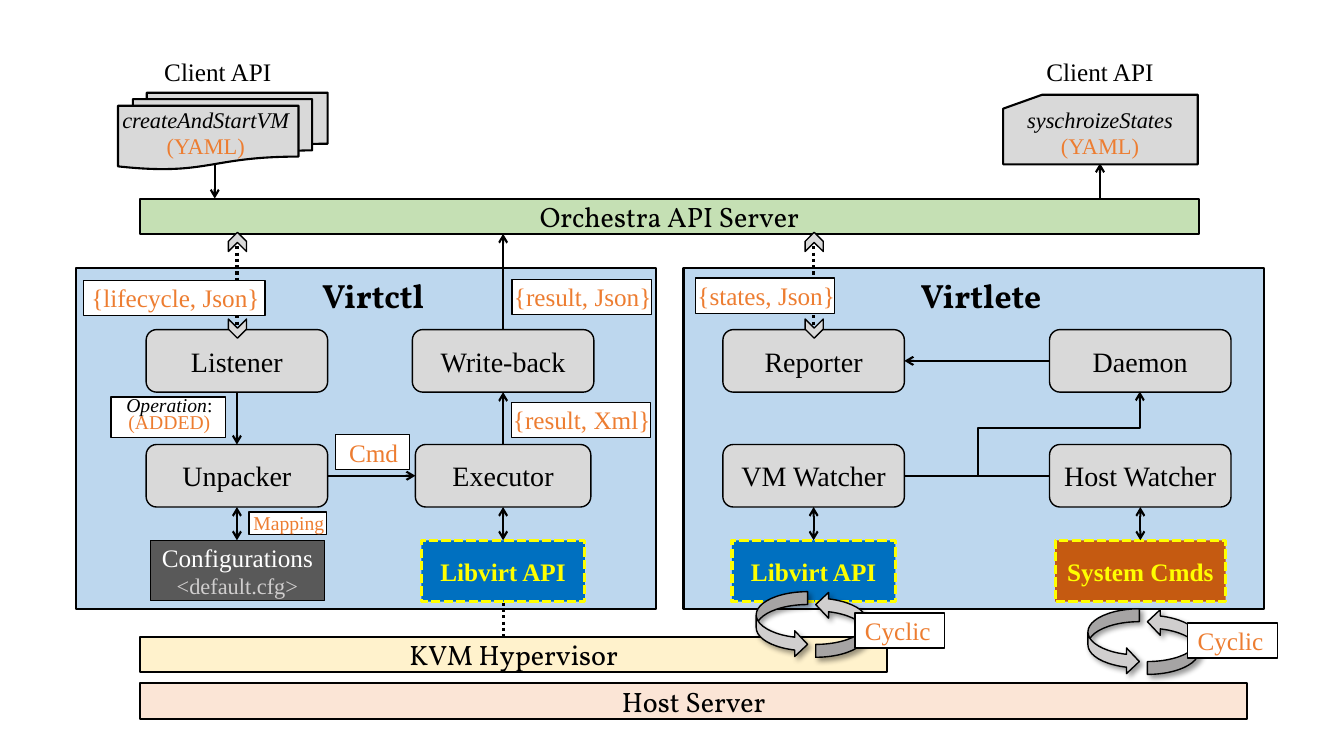
from lxml.etree import SubElement
from pptx import Presentation
from pptx.dml.color import RGBColor
from pptx.enum.dml import MSO_LINE
from pptx.enum.shapes import MSO_CONNECTOR, MSO_SHAPE
from pptx.enum.text import MSO_ANCHOR, MSO_AUTO_SIZE, PP_ALIGN
from pptx.oxml import parse_xml
from pptx.oxml.ns import nsdecls, qn
from pptx.util import Inches, Pt

BLACK, WHITE = RGBColor(0, 0, 0), RGBColor(255, 255, 255)
GREY, SILVER = RGBColor(0xD9, 0xD9, 0xD9), RGBColor(0xD0, 0xCE, 0xCE)
CHARCOAL = RGBColor(0x59, 0x59, 0x59)
PANEL_BLUE, API_BLUE = RGBColor(0xBD, 0xD7, 0xEE), RGBColor(0, 0x70, 0xC0)
GREEN, CREAM = RGBColor(0xC5, 0xE0, 0xB4), RGBColor(0xFF, 0xF2, 0xCC)
PEACH, RUST = RGBColor(0xFB, 0xE5, 0xD6), RGBColor(0xC5, 0x5A, 0x11)
ORANGE, YELLOW = RGBColor(0xED, 0x7D, 0x31), RGBColor(0xFF, 0xFF, 0)
SERIF, DISPLAY = "Times New Roman", "Vollkorn"

# Grid: centres of the four columns and three rows of components
COLUMNS = (2.35, 4.99, 8.07, 11.31)
ROWS = (3.58, 4.72, 5.67)
NODE_WIDTH, NODE_HEIGHT = 1.8, 0.62
SERVER_TOP, BAR_HEIGHT, BAR_LEFT = 1.97, 0.35, 1.39
SERVER_BOTTOM = SERVER_TOP + BAR_HEIGHT
HYPERVISOR_TOP, HOST_TOP = 6.32, 6.78
PANEL_TOP, PANEL_WIDTH, PANEL_HEIGHT = 2.66, 5.76, 3.38

PANELS = [("Virtctl", 0.75, 3.7), ("Virtlete", 6.78, 9.73)]  # title, left, title centre
BARS = [  # text, top, width, fill
    ("Orchestra API Server", SERVER_TOP, 10.5, GREEN),
    ("KVM Hypervisor", HYPERVISOR_TOP, 7.41, CREAM),
    ("Host Server", HOST_TOP, 10.98, PEACH),
]
NODES = [  # text, column, row
    ("Listener", 0, 0), ("Write-back", 1, 0), ("Reporter", 2, 0), ("Daemon", 3, 0),
    ("Unpacker", 0, 1), ("Executor", 1, 1), ("VM Watcher", 2, 1), ("Host Watcher", 3, 1),
]
BACKENDS = [  # text, column, width, fill
    ("Libvirt API", 1, 1.62, API_BLUE),
    ("Libvirt API", 2, 1.62, API_BLUE),
    ("System Cmds", 3, 1.69, RUST),
]
TAGS = [  # text, left, top, width, height, size
    ("{lifecycle, Json}", 0.83, 2.78, 1.8, 0.35, 18),
    ("{result, Json}", 5.08, 2.77, 1.38, 0.35, 18),
    ("{result, Xml}", 5.07, 3.99, 1.38, 0.35, 18),
    ("{states, Json}", 6.9, 2.76, 1.38, 0.35, 18),
    ("Cmd", 3.33, 4.31, 0.73, 0.35, 18),
    ("Mapping", 2.47, 5.08, 0.77, 0.22, 14),
    ("Cyclic ", 8.48, 6.08, 0.89, 0.35, 18),
    ("Cyclic ", 11.78, 6.18, 0.89, 0.35, 18),
]
CLIENTS = [  # function, shape, left, top, width, height, caption centre, text centre
    ("createAndStartVM", MSO_SHAPE.FLOWCHART_MULTIDOCUMENT, 1.17, 0.92, 2.08, 0.76, 2.16, 2.04),
    ("syschroizeStates", MSO_SHAPE.FLOWCHART_CARD, 9.95, 0.94, 1.93, 0.69, 10.91, 10.91),
]
CYCLES = [(7.5, 5.87), (10.79, 6.04)]  # left, top of each pair of curved arrows

presentation = Presentation()
presentation.slide_width, presentation.slide_height = Inches(13.33), Inches(7.5)
slide = presentation.slides.add_slide(presentation.slide_layouts[6])


def run(text, color=BLACK, size=18, outlined=False, **formats):
    """Describe one run of text."""
    return text, color, outlined, {"name": SERIF, "size": Pt(size), **formats}


def write(shape, paragraphs, spacing=None):
    """Write centred paragraphs, each a list of runs, into a shape."""
    frame = shape.text_frame
    frame.word_wrap = True
    for index, runs in enumerate(paragraphs):
        paragraph = frame.paragraphs[0] if index == 0 else frame.add_paragraph()
        paragraph.alignment, paragraph.line_spacing = PP_ALIGN.CENTER, spacing
        for text, color, outlined, formats in runs:
            piece = paragraph.add_run()
            piece.text = text
            for name, value in formats.items():
                setattr(piece.font, name, value)
            piece.font.color.rgb = color
            if outlined:
                piece.font._element.insert(0, parse_xml(
                    f'<a:ln {nsdecls("a")} w="9525"><a:solidFill>'
                    '<a:srgbClr val="000000"/></a:solidFill></a:ln>'))


def add_box(kind, left, top, width, height, fill, weight=1.0, paragraphs=(), edge=BLACK, dash=None):
    """Add a filled, outlined shape with optional centred text."""
    shape = slide.shapes.add_shape(kind, *map(Inches, (left, top, width, height)))
    shape.shadow.inherit = False
    shape.fill.solid()
    shape.fill.fore_color.rgb = fill
    shape.line.color.rgb, shape.line.width = edge, Pt(weight)
    if dash:
        shape.line.dash_style = dash
    shape.text_frame.vertical_anchor = MSO_ANCHOR.MIDDLE
    write(shape, paragraphs)
    return shape


def add_label(center_x, center_y, width, height, paragraphs, spacing=None):
    """Add a text box centred on a point."""
    label = slide.shapes.add_textbox(Inches(center_x - width / 2), Inches(center_y - height / 2),
                                     Inches(width), Inches(height))
    write(label, paragraphs, spacing)
    label.text_frame.auto_size = MSO_AUTO_SIZE.SHAPE_TO_FIT_TEXT


def add_line(start, end, heads=(), dotted=False, kind=MSO_CONNECTOR.STRAIGHT):
    """Add a connector; heads lists the ends that carry an arrow."""
    line = slide.shapes.add_connector(kind, *map(Inches, (*start, *end)))
    line.line.color.rgb, line.line.width = BLACK, Pt(2.25 if dotted else 1.5)
    if dotted:
        line.line.dash_style = MSO_LINE.ROUND_DOT
    outline = line.line._get_or_add_ln()
    for head in heads:
        SubElement(outline, qn(f"a:{head}")).set("type", "arrow")
    SubElement(line._element.spPr, qn("a:effectLst"))
    return line


def add_tag(left, top, width, height, paragraphs, spacing=None, label_height=0.4):
    """Add a white box with a wider text box centred over it."""
    add_box(MSO_SHAPE.RECTANGLE, left, top, width, height, WHITE)
    add_label(left + width / 2 + 0.01, top + height / 2, width + 0.35, label_height,
              paragraphs, spacing)


for title, left, title_center in PANELS:
    add_box(MSO_SHAPE.RECTANGLE, left, PANEL_TOP, PANEL_WIDTH, PANEL_HEIGHT, PANEL_BLUE, 1.5)
    add_label(title_center, 2.93, 2.82, 0.5,
              [[run(title, size=24, outlined=True, name=DISPLAY, bold=True)]])
for text, top, width, fill in BARS:
    add_box(MSO_SHAPE.RECTANGLE, BAR_LEFT, top, width, BAR_HEIGHT, fill, 1.5,
            [[run(text, size=20, outlined=True, name=DISPLAY)]])

half_width, half_height = NODE_WIDTH / 2, NODE_HEIGHT / 2
row_tops = [row - half_height for row in ROWS]
row_bottoms = [row + half_height for row in ROWS]
for column in (0, 2):
    add_line((COLUMNS[column], SERVER_BOTTOM), (COLUMNS[column], row_tops[0]), dotted=True)
add_line((COLUMNS[1], row_bottoms[2]), (COLUMNS[1], HYPERVISOR_TOP), dotted=True)

for text, column, row in NODES:
    width = 1.74 if text == "Executor" else NODE_WIDTH
    add_box(MSO_SHAPE.ROUNDED_RECTANGLE, COLUMNS[column] - width / 2, row_tops[row],
            width, NODE_HEIGHT, GREY, paragraphs=[[run(text, size=20)]])
for text, column, width, fill in BACKENDS:
    add_box(MSO_SHAPE.RECTANGLE, COLUMNS[column] - width / 2, row_tops[2], width, 0.61, fill, 2.25,
            [[run(text, YELLOW, bold=True)]], YELLOW, MSO_LINE.SQUARE_DOT)
add_box(MSO_SHAPE.RECTANGLE, 1.49, row_tops[2], 1.73, 0.6, CHARCOAL,
        paragraphs=[[run("Configurations", WHITE)], [run("<default.cfg>", SILVER, 16)]])

for column in COLUMNS:
    add_line((column, row_tops[2]), (column, row_bottoms[1]), ("headEnd", "tailEnd"))
add_line((COLUMNS[0], row_bottoms[0]), (COLUMNS[0], row_tops[1]), ("tailEnd",))
add_line((COLUMNS[1], row_tops[1]), (COLUMNS[1], row_bottoms[0]), ("tailEnd",))
add_line((COLUMNS[1], row_tops[0]), (COLUMNS[1], SERVER_BOTTOM), ("tailEnd",))
add_line((COLUMNS[0] + half_width, ROWS[1]), (COLUMNS[1] - 0.87, ROWS[1]), ("tailEnd",))
for row, heads in ((0, ("tailEnd",)), (1, ())):
    add_line((COLUMNS[3] - half_width, ROWS[row]), (COLUMNS[2] + half_width, ROWS[row]), heads)
add_line((2.13, 1.62), (2.13, SERVER_TOP), ("tailEnd",))
add_line((10.91, SERVER_TOP), (10.91, 1.62), ("tailEnd",))

# The elbow leaves upwards, so its frame is turned a quarter
elbow = add_line((10.92, 5.11), (10.08, 3.5), ("tailEnd",), kind=MSO_CONNECTOR.ELBOW)
elbow._element.spPr.find(qn("a:xfrm")).set("rot", "5400000")
guide = SubElement(elbow._element.spPr.find(qn("a:prstGeom")).find(qn("a:avLst")), qn("a:gd"))
guide.set("name", "adj1")
guide.set("fmla", "val 57200")

for left, top in CYCLES:
    for offset, rotation in ((0, 0), (0.59, 180)):
        arrow = add_box(MSO_SHAPE.CURVED_RIGHT_ARROW, left + offset, top, 0.51, 0.65, SILVER)
        arrow.rotation = rotation
        arrow._element.spPr.find(qn("a:effectLst")).append(parse_xml(
            f'<a:outerShdw {nsdecls("a")} blurRad="50800" dist="38100" dir="2700000">'
            '<a:srgbClr val="000000"><a:alpha val="40000"/></a:srgbClr></a:outerShdw>'))

for text, left, top, width, height, size in TAGS:
    add_tag(left, top, width, height, [[run(text, ORANGE, size)]],
            label_height=0.34 if size == 14 else 0.4)
add_tag(1.1, 3.94, 1.14, 0.4, [[run("Operation", size=14, italic=True), run(":", size=14)],
                              [run("(ADDED)", ORANGE, 14)]], Pt(12), 0.44)

for column in (0, 2):
    for center_y, rotation in ((2.4, 270), (3.26, 90)):
        chevron = add_box(MSO_SHAPE.CHEVRON, COLUMNS[column] - 0.09, center_y - 0.09, 0.19, 0.18, GREY)
        chevron.rotation = rotation

for function, kind, left, top, width, height, caption_center, text_center in CLIENTS:
    add_label(caption_center, 0.71, 2.82, 0.4, [[run("Client API")]])
    add_box(kind, left, top, width, height, GREY, 1.5)
    add_label(text_center, 1.32, 1.88, 0.64,
              [[run(function, size=16, italic=True)], [run("(YAML)", ORANGE, 16)]])

presentation.save("out.pptx")
